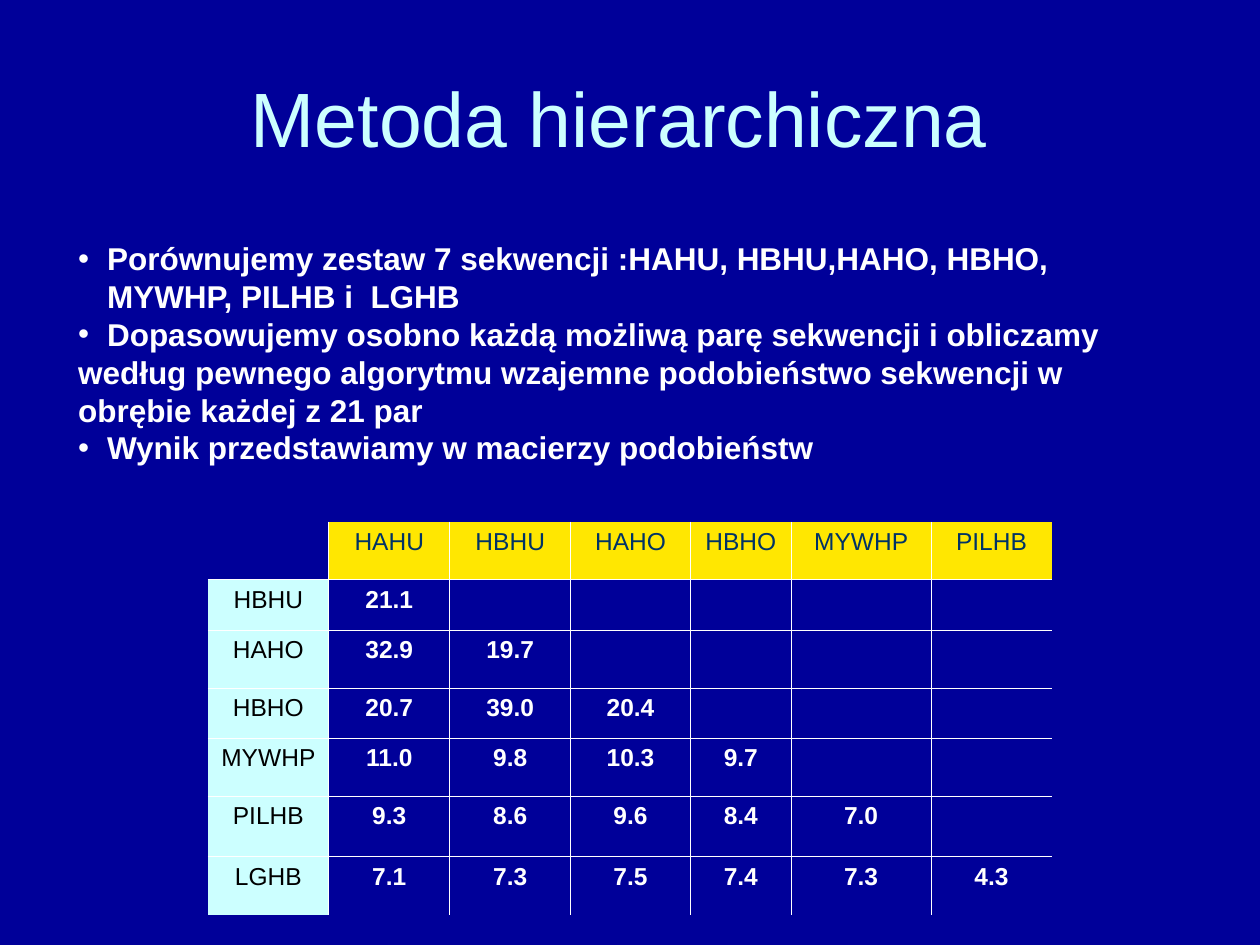
from dataclasses import dataclass

from lxml.etree import SubElement
from pptx import Presentation
from pptx.dml.color import RGBColor
from pptx.enum.text import MSO_ANCHOR, MSO_AUTO_SIZE, PP_ALIGN
from pptx.oxml.ns import qn
from pptx.util import Inches, Pt


@dataclass(frozen=True)
class Theme:
    font: str = "Arial"
    background: str = "000099"
    title: str = "CCFFFF"
    text: str = "FFFFFF"
    header_fill: str = "FFE701"
    header_text: str = "003366"
    label_fill: str = "CCFFFF"
    label_text: str = "000000"
    border: str = "FFFFFF"
    title_size: int = 44
    body_size: int = 18
    table_size: int = 14
    border_width: float = 0.45


TITLE = "Metoda hierarchiczna "
STATEMENTS = [
    ("Porównujemy zestaw 7 sekwencji :HAHU, HBHU,HAHO, HBHO, MYWHP, PILHB i  LGHB", True),
    ("Dopasowujemy osobno każdą możliwą parę sekwencji i obliczamy", True),
    ("według pewnego algorytmu wzajemne podobieństwo sekwencji w obrębie każdej z 21 par", False),
    ("Wynik przedstawiamy w macierzy podobieństw", True),
]
SEQUENCES = ["HAHU", "HBHU", "HAHO", "HBHO", "MYWHP", "PILHB", "LGHB"]
SIMILARITIES = [
    ["21.1"],
    ["32.9", "19.7"],
    ["20.7", "39.0", "20.4"],
    ["11.0", "9.8", "10.3", "9.7"],
    ["9.3", "8.6", "9.6", "8.4", "7.0"],
    ["7.1", "7.3", "7.5", "7.4", "7.3", "4.3"],
]
COLUMN_WIDTHS = [0.96, 0.96, 0.96, 0.95, 0.8, 1.11, 0.96]
ROW_HEIGHTS = [0.46, 0.4, 0.46, 0.4, 0.46, 0.48, 0.46]


def write_text(paragraph, text, *, font, size, color, bold=False,
               align=PP_ALIGN.LEFT, before=0):
    paragraph.alignment = align
    paragraph.space_before = Pt(before)
    paragraph.font.size = Pt(size)
    if text:
        run = paragraph.add_run()
        run.text = text
        run.font.name = font
        run.font.size = Pt(size)
        run.font.bold = bold
        run.font.color.rgb = RGBColor.from_string(color)


class SlideBuilder:
    def __init__(self, slide, theme):
        self.slide = slide
        self.theme = theme
        fill = slide.background.fill
        fill.solid()
        fill.fore_color.rgb = RGBColor.from_string(theme.background)

    def place(self, shape, left, top, width, height):
        shape.left, shape.top = Inches(left), Inches(top)
        shape.width, shape.height = Inches(width), Inches(height)

    def add_title(self, text, *bounds):
        shape = self.slide.shapes.title
        self.place(shape, *bounds)
        shape.text_frame.vertical_anchor = MSO_ANCHOR.MIDDLE
        write_text(shape.text_frame.paragraphs[0], text, font=self.theme.font,
                   size=self.theme.title_size, color=self.theme.title,
                   align=PP_ALIGN.CENTER)

    def add_statements(self, statements, *bounds):
        shape = self.slide.placeholders[1]
        self.place(shape, *bounds)
        frame = shape.text_frame
        frame.word_wrap = True
        frame.auto_size = MSO_AUTO_SIZE.NONE
        for index, (text, bulleted) in enumerate(statements):
            paragraph = frame.add_paragraph() if index else frame.paragraphs[0]
            write_text(paragraph, text, font=self.theme.font, bold=True,
                       size=self.theme.body_size, color=self.theme.text)
            self.set_bullet(paragraph, bulleted)

    def set_bullet(self, paragraph, bulleted):
        properties = paragraph._p.get_or_add_pPr()
        indent = Inches(0.23) if bulleted else 0
        properties.set("marL", str(indent))
        properties.set("indent", str(-indent))
        if bulleted:
            color = SubElement(properties, qn("a:buClr"))
            SubElement(color, qn("a:srgbClr"), val=self.theme.text)
            SubElement(properties, qn("a:buFont"), typeface=self.theme.font)
            SubElement(properties, qn("a:buChar"), char="•")
        else:
            SubElement(properties, qn("a:buNone"))

    def add_matrix(self, sequences, similarities, left, top):
        rows = [["", *sequences[:-1]]]
        rows += [[name, *values] for name, values in zip(sequences[1:], similarities)]
        frame = self.slide.shapes.add_table(
            len(ROW_HEIGHTS), len(COLUMN_WIDTHS), Inches(left), Inches(top),
            Inches(sum(COLUMN_WIDTHS)), Inches(sum(ROW_HEIGHTS)))
        table = frame.table
        table.horz_banding = False
        table.first_row = False
        for column, width in zip(table.columns, COLUMN_WIDTHS):
            column.width = Inches(width)
        for row, height in zip(table.rows, ROW_HEIGHTS):
            row.height = Inches(height)
        last_row, last_column = len(ROW_HEIGHTS) - 1, len(COLUMN_WIDTHS) - 1
        for row_index, texts in enumerate(rows):
            for column_index in range(len(COLUMN_WIDTHS)):
                cell = table.cell(row_index, column_index)
                text = texts[column_index] if column_index < len(texts) else ""
                self.set_borders(cell, L=column_index > 0, R=column_index < last_column,
                                 T=row_index > 0, B=row_index < last_row)
                self.fill_cell(cell, text, row_index == 0, column_index == 0)

    def fill_cell(self, cell, text, in_header, in_labels):
        theme = self.theme
        fill, color = None, theme.text
        if in_header and not in_labels:
            fill, color = theme.header_fill, theme.header_text
        elif in_labels and not in_header:
            fill, color = theme.label_fill, theme.label_text
        if fill:
            cell.fill.solid()
            cell.fill.fore_color.rgb = RGBColor.from_string(fill)
        else:
            cell.fill.background()
        write_text(cell.text_frame.paragraphs[0], text, font=theme.font,
                   size=theme.table_size, color=color, bold=fill is None,
                   align=PP_ALIGN.CENTER, before=3.5)

    def set_borders(self, cell, **sides):
        properties = cell._tc.get_or_add_tcPr()
        for side, visible in sides.items():
            line = SubElement(properties, qn(f"a:ln{side}"),
                              w=str(Pt(self.theme.border_width)))
            if visible:
                fill = SubElement(line, qn("a:solidFill"))
                SubElement(fill, qn("a:srgbClr"), val=self.theme.border)
            else:
                SubElement(line, qn("a:noFill"))


def main():
    presentation = Presentation()
    presentation.slide_width = Inches(10)
    presentation.slide_height = Inches(7.5)
    slide = presentation.slides.add_slide(presentation.slide_layouts[1])
    builder = SlideBuilder(slide, Theme())
    builder.add_title(TITLE, 0.5, 0.3, 9, 1.25)
    builder.add_statements(STATEMENTS, 0.52, 1.85, 8.9, 1.9)
    builder.add_matrix(SEQUENCES, SIMILARITIES, 1.65, 4.14)
    presentation.save("out.pptx")


if __name__ == "__main__":
    main()
